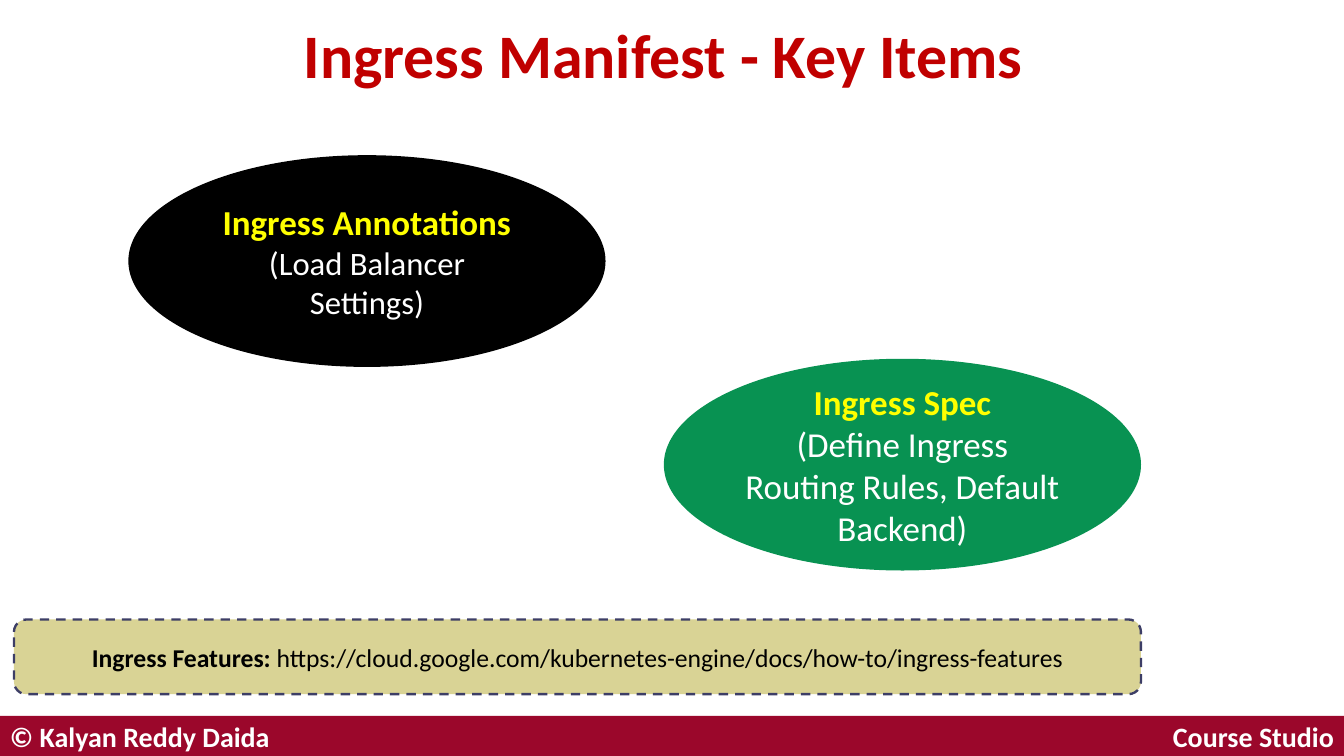
import pptx
import pptx.util
import pptx.dml.color
import pptx.enum.dml
import pptx.enum.shapes
import pptx.enum.text

Pt = pptx.util.Pt
Kind = pptx.enum.shapes.MSO_SHAPE
Align = pptx.enum.text.PP_ALIGN

HUES = {
    "wine": "9B072B", "red": "C00000", "black": "000000", "green": "089252",
    "sand": "D9D395", "navy": "3D3E66", "white": "FFFFFF", "yellow": "FFFF00",
}
WIDE, HIGH = 1152, 648
FOOT = 34.5
OVAL = (409, 181.5)
PAD = {"margin_left": 8.6, "margin_right": 8.6, "margin_top": 4.3, "margin_bottom": 4.3}

TITLE = [[("Ingress Manifest - Key Items", 53, "red", True)]]
OWNER = [[("© Kalyan Reddy Daida", 24, "white", True)]]
SCHOOL = [[("Course Studio", 24, "white", True)]]
OVALS = [
    ((110, 133), "black", [
        [("Ingress Annotations", 30, "yellow", True)],
        [("(Load Balancer Settings)", 28, "white", False)],
    ]),
    ((569, 307.5), "green", [
        [("Ingress Spec", 30, "yellow", True)],
        [("(Define Ingress Routing Rules, Default Backend)", 30, "white", False)],
    ]),
]
LINK = [[
    ("Ingress Features: ", 22, "black", True),
    ("https://cloud.google.com/kubernetes-engine/docs/how-to/ingress-features",
     22, "black", False),
]]


def tint(name):
    return pptx.dml.color.RGBColor.from_string(HUES[name])


def write(shape, paras, align=Align.CENTER, wrap=True, space=1.0):
    frame = shape.text_frame
    frame.word_wrap = wrap
    frame.vertical_anchor = pptx.enum.text.MSO_ANCHOR.MIDDLE
    for key, size in PAD.items():
        setattr(frame, key, Pt(size))
    for rank, runs in enumerate(paras):
        para = frame.add_paragraph() if rank else frame.paragraphs[0]
        para.alignment = align
        para.line_spacing = space
        for text, size, hue, bold in runs:
            run = para.add_run()
            run.text = text
            look = {"name": "Calibri", "size": Pt(size), "bold": bold}
            for key, value in look.items():
                setattr(run.font, key, value)
            run.font.color.rgb = tint(hue)


def block(slide, kind, box, hue):
    shape = slide.shapes.add_shape(kind, *map(Pt, box))
    shape.shadow.inherit = False
    shape.fill.solid()
    shape.fill.fore_color.rgb = tint(hue)
    shape.line.fill.background()
    return shape


def label(slide, box, paras, **style):
    write(slide.shapes.add_textbox(*map(Pt, box)), paras, **style)


def main():
    deck = pptx.Presentation()
    deck.slide_width, deck.slide_height = Pt(WIDE), Pt(HIGH)
    slide = deck.slides.add_slide(deck.slide_layouts[6])

    top = HIGH - FOOT
    block(slide, Kind.RECTANGLE, (0, top, WIDE, FOOT), "wine")
    label(slide, (WIDE - 158, top, 158, FOOT), SCHOOL, align=Align.RIGHT, wrap=False)
    label(slide, (0, top, 260, FOOT), OWNER, align=Align.LEFT)
    label(slide, (72, 3.6, 993.6, 93.6), TITLE, space=0.9)

    for spot, hue, paras in OVALS:
        write(block(slide, Kind.OVAL, spot + OVAL, hue), paras)

    panel = block(slide, Kind.ROUNDED_RECTANGLE, (12, 531, 966, 64), "sand")
    panel.line.color.rgb = tint("navy")
    panel.line.width = Pt(2)
    panel.line.dash_style = pptx.enum.dml.MSO_LINE.DASH
    write(panel, LINK)

    deck.save("out.pptx")


if __name__ == "__main__":
    main()
